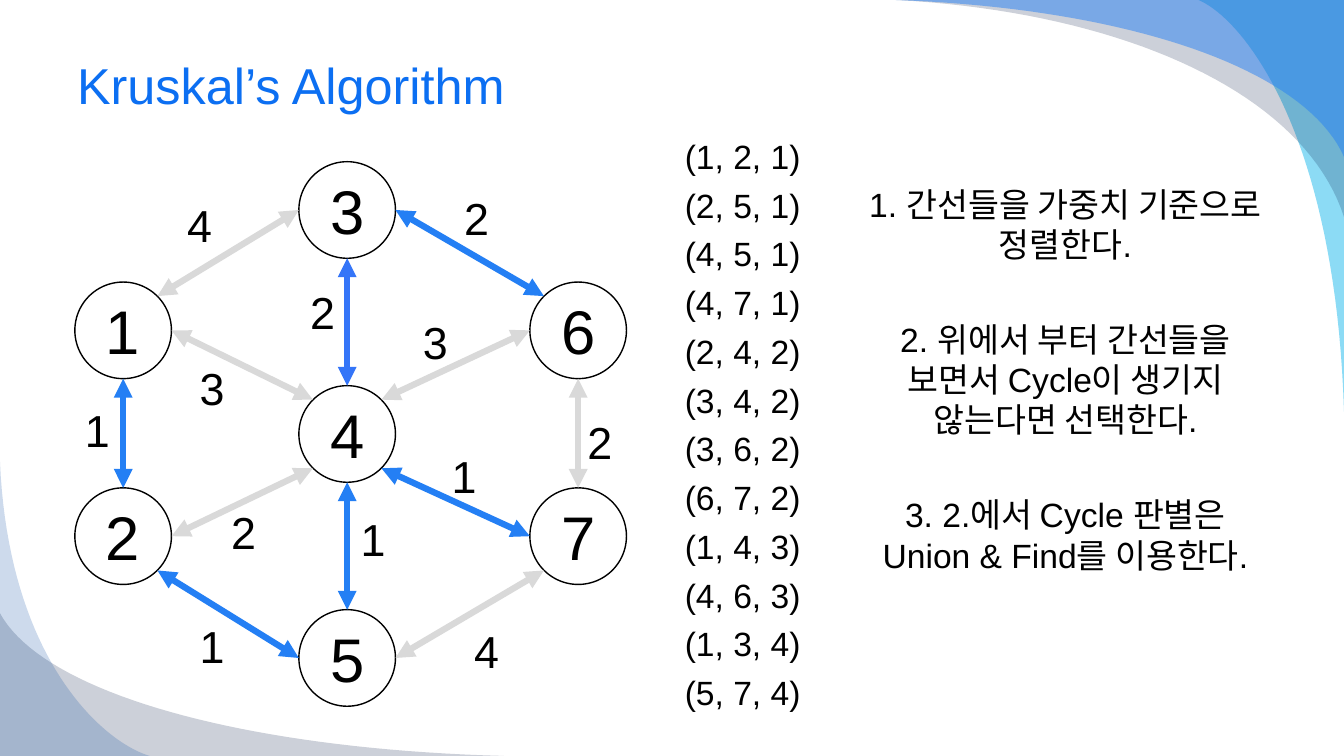
from lxml import etree
from pptx import Presentation
from pptx.dml.color import RGBColor
from pptx.enum.shapes import MSO_CONNECTOR, MSO_SHAPE
from pptx.enum.text import MSO_ANCHOR, PP_ALIGN
from pptx.oxml.ns import qn
from pptx.util import Pt

COLORS = {
    "black": "000000", "white": "FFFFFF", "title": "0C6FF2", "blue": "247FF4",
    "violet": "3475F8", "gray": "D9D9D9", "cyan": "00B1E9", "navy": "021741",
    "ocean": "084AA1",
}


def rgb(name):
    return RGBColor.from_string(COLORS[name])


def write(sp, text, size, color="black", align=PP_ALIGN.CENTER, anchor=MSO_ANCHOR.TOP, gap=0):
    tf = sp.text_frame
    tf.word_wrap = True
    tf.vertical_anchor = anchor
    for i, line in enumerate(text.split("\n")):
        p = tf.add_paragraph() if i else tf.paragraphs[0]
        p.alignment = align
        p.space_before = Pt(gap if i else 0)
        r = p.add_run()
        r.text = line
        r.font.name = "Arial"
        r.font.size = Pt(size)
        r.font.color.rgb = rgb(color)


prs = Presentation()
prs.slide_width, prs.slide_height = Pt(960), Pt(540)
s = prs.slides.add_slide(prs.slide_layouts[6])

# each wave: corner, Bezier start, two controls, end, colour, opacity in percent
waves = [
    ((960, 0), (856, 0), (889, 14), (954, 97), (960, 294), "cyan", 45),
    ((960, 0), (640, 0), (806, 9), (932, 68), (960, 155), "navy", 20),
    ((960, 0), (640, 0), (806, 6), (932, 49), (960, 112), "blue", 49),
    ((0, 540), (360, 540), (173, 535), (31, 495), (0, 438), "navy", 20),
    ((0, 540), (107, 540), (73, 530), (6, 470), (0, 330), "ocean", 20),
]
steps = 40
for corner, a, b, c, d, color, opacity in waves:
    curve = []
    for i in range(steps + 1):
        t = i / steps
        u = 1 - t
        curve.append([
            Pt(u**3 * a[k] + 3 * u * u * t * b[k] + 3 * u * t * t * c[k] + t**3 * d[k])
            for k in (0, 1)
        ])
    fb = s.shapes.build_freeform(Pt(corner[0]), Pt(corner[1]))
    fb.add_line_segments(curve, close=True)
    sp = fb.convert_to_shape()
    sp.shadow.inherit = False
    sp.fill.solid()
    sp.fill.fore_color.rgb = rgb(color)
    sp.line.fill.background()
    clr = sp._element.spPr.find(qn("a:solidFill"))[0]
    etree.SubElement(clr, qn("a:alpha")).set("val", str(opacity * 1000))

title = s.shapes.add_textbox(Pt(48), Pt(24), Pt(864), Pt(73))
write(title, "Kruskal’s Algorithm", 36, "title", PP_ALIGN.LEFT, MSO_ANCHOR.MIDDLE)

edges = [(1, 2, 1), (2, 5, 1), (4, 5, 1), (4, 7, 1), (2, 4, 2), (3, 4, 2),
         (3, 6, 2), (6, 7, 2), (1, 4, 3), (4, 6, 3), (1, 3, 4), (5, 7, 4)]
edge_list = s.shapes.add_textbox(Pt(458.5), Pt(93.5), Pt(144), Pt(423))
write(edge_list, "\n".join(str(edge) for edge in edges), 24, gap=6)

radius = 34.5
nodes = {1: (88, 236), 2: (88, 383), 3: (248, 150), 4: (248, 310),
         5: (248, 470), 6: (413, 236), 7: (413, 383)}
for name, (x, y) in nodes.items():
    sp = s.shapes.add_shape(MSO_SHAPE.OVAL, Pt(x - radius), Pt(y - radius),
                            Pt(2 * radius), Pt(2 * radius))
    sp.shadow.inherit = False
    sp.fill.solid()
    sp.fill.fore_color.rgb = rgb("white")
    sp.line.color.rgb = rgb("black")
    sp.line.width = Pt(1)
    write(sp, str(name), 44, anchor=MSO_ANCHOR.MIDDLE)

sides = {"N": (0, -1), "S": (0, 1), "W": (-1, 0), "E": (1, 0), "NW": (-0.71, -0.71),
         "NE": (0.71, -0.71), "SW": (-0.71, 0.71), "SE": (0.71, 0.71)}
links = {
    (1, 2): ("S", "N", "blue", 48, 284),
    (2, 5): ("SE", "W", "blue", 130, 438.5),
    (4, 5): ("S", "N", "blue", 245, 362),
    (4, 7): ("SE", "W", "blue", 310, 317),
    (2, 4): ("E", "SW", "gray", 152.5, 357),
    (3, 4): ("S", "N", "violet", 209, 199.5),
    (3, 6): ("E", "NW", "blue", 319, 133),
    (6, 7): ("S", "N", "gray", 407, 292.5),
    (1, 4): ("E", "NW", "gray", 130, 254),
    (4, 6): ("NE", "W", "gray", 289.5, 221),
    (1, 3): ("NE", "W", "gray", 121, 137.5),
    (5, 7): ("E", "SW", "gray", 326, 442),
}
for start, end, weight in edges:
    side1, side2, color, label_x, label_y = links[start, end]
    (x1, y1), (x2, y2) = [
        [Pt(nodes[n][k] + radius * sides[side][k]) for k in (0, 1)]
        for n, side in ((start, side1), (end, side2))
    ]
    cx = s.shapes.add_connector(MSO_CONNECTOR.STRAIGHT, x1, y1, x2, y2)
    cx.line.color.rgb = rgb(color)
    cx.line.width = Pt(4.5)
    ln = cx.line._get_or_add_ln()
    for tag in ("a:headEnd", "a:tailEnd"):
        etree.SubElement(ln, qn(tag)).set("type", "triangle")
    etree.SubElement(cx._element.spPr, qn("a:effectLst"))
    label = s.shapes.add_textbox(Pt(label_x), Pt(label_y), Pt(43), Pt(50))
    write(label, str(weight), 32)

notes = [
    "1. 간선들을 가중치 기준으로 정렬한다.",
    "2. 위에서 부터 간선들을 보면서 Cycle이 생기지 않는다면 선택한다.",
    "3. 2.에서 Cycle 판별은 Union & Find를 이용한다.",
]
rules = s.shapes.add_textbox(Pt(610.5), Pt(127.5), Pt(301), Pt(389))
write(rules, "\n".join(notes), 24, gap=39)

prs.save("out.pptx")
